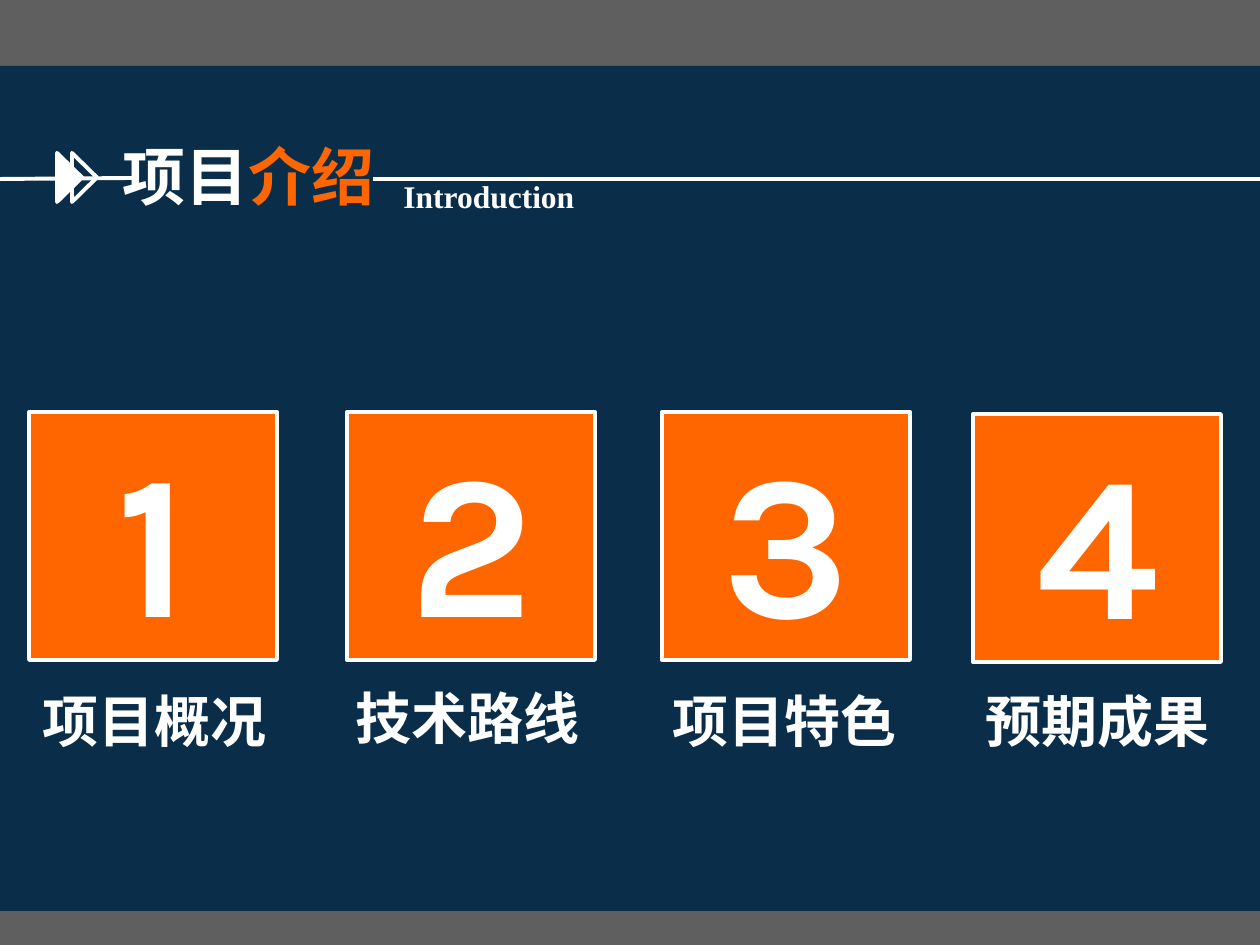
from typing import NamedTuple

from lxml.etree import SubElement
from pptx import Presentation
from pptx.dml.color import RGBColor
from pptx.enum.shapes import MSO_CONNECTOR as CONN, MSO_SHAPE as SHAPE
from pptx.enum.text import MSO_ANCHOR as ANCHOR, MSO_AUTO_SIZE as AUTO, PP_ALIGN as ALIGN
from pptx.oxml.ns import qn
from pptx.util import Emu, Pt

COLORS = {"bg": "5F5F5F", "navy": "012947", "orange": "FF6600", "white": "FFFFFF"}
EMU_PER_PX = 914400 / 126
TILE_SIZE = 248


class Box(NamedTuple):
    x: int
    y: int
    w: int
    h: int


class Topic(NamedTuple):
    number: str
    tile_x: int
    tile_y: int
    label: str
    label_box: Box


class Run(NamedTuple):
    text: str
    color: str = "white"


TOPICS = [
    Topic("1", 29, 412, "项目概况", Box(30, 680, 266, 81)),
    Topic("2", 347, 412, "技术路线", Box(343, 677, 258, 81)),
    Topic("3", 662, 412, "项目特色", Box(660, 680, 280, 81)),
    Topic("4", 973, 414, "预期成果", Box(973, 680, 280, 81)),
]


def px(n: int) -> Emu:
    return Emu(round(n * EMU_PER_PX))


def rgb(name: str) -> RGBColor:
    return RGBColor.from_string(COLORS[name])


def add_shape(s, kind, box: Box, fill: str | None, line: str | None = "white"):
    sp = s.shapes.add_shape(kind, *map(px, box))
    sp.shadow.inherit = False
    if fill:
        sp.fill.solid()
        sp.fill.fore_color.rgb = rgb(fill)
    else:
        sp.fill.background()
    if line:
        sp.line.color.rgb = rgb(line)
        sp.line.width = Pt(2.25)
    else:
        sp.line.fill.background()
    return sp


def write(tf, runs: list[Run], font: str, size: int) -> None:
    p = tf.paragraphs[0]
    p.font.name = font
    p.font.size = Pt(size)
    p.font.bold = True
    for run in runs:
        r = p.add_run()
        r.text = run.text
        r.font.color.rgb = rgb(run.color)


def add_text(s, box: Box, runs: list[Run], font: str, size: int) -> None:
    tf = s.shapes.add_textbox(*map(px, box)).text_frame
    tf.word_wrap = True
    tf.auto_size = AUTO.SHAPE_TO_FIT_TEXT
    write(tf, runs, font, size)


def add_rule(s, x1: int, y1: int, x2: int, y2: int) -> None:
    line = s.shapes.add_connector(CONN.STRAIGHT, *map(px, (x1, y1, x2, y2)))
    line.line.color.rgb = rgb("white")
    line.line.width = Pt(2.25)
    SubElement(line._element.spPr, qn("a:effectLst"))


def add_band(s) -> None:
    sp = add_shape(s, SHAPE.RECTANGLE, Box(-1, 66, 1262, 845), "navy", None)
    color = sp._element.spPr.find(qn("a:solidFill"))[0]
    SubElement(color, qn("a:alpha"), val="90000")


def add_header(s) -> None:
    add_text(s, Box(110, 131, 580, 88), [Run("项目"), Run("介绍", "orange")], "Arial", 36)
    add_rule(s, -1, 179, 132, 178)
    for x, fill in ((45, "white"), (60, None)):
        arrow = add_shape(s, SHAPE.ISOSCELES_TRIANGLE, Box(x, 165, 49, 25), fill)
        arrow.rotation = 90
    add_rule(s, 373, 179, 1261, 179)
    add_text(s, Box(391, 171, 334, 50), [Run("Introduction")], "Times New Roman", 18)


def add_topic(s, topic: Topic) -> None:
    box = Box(topic.tile_x, topic.tile_y, TILE_SIZE, TILE_SIZE)
    tf = add_shape(s, SHAPE.RECTANGLE, box, "orange").text_frame
    tf.word_wrap = False
    tf.vertical_anchor = ANCHOR.MIDDLE
    tf.paragraphs[0].alignment = ALIGN.CENTER
    write(tf, [Run(topic.number)], "Karla", 117)
    add_text(s, topic.label_box, [Run(topic.label)], "Arial", 32)


def main() -> None:
    prs = Presentation()
    prs.slide_width, prs.slide_height = px(1260), px(945)
    s = prs.slides.add_slide(prs.slide_layouts[6])
    s.background.fill.solid()
    s.background.fill.fore_color.rgb = rgb("bg")
    add_band(s)
    add_header(s)
    for topic in TOPICS:
        add_topic(s, topic)
    prs.save("out.pptx")


if __name__ == "__main__":
    main()
